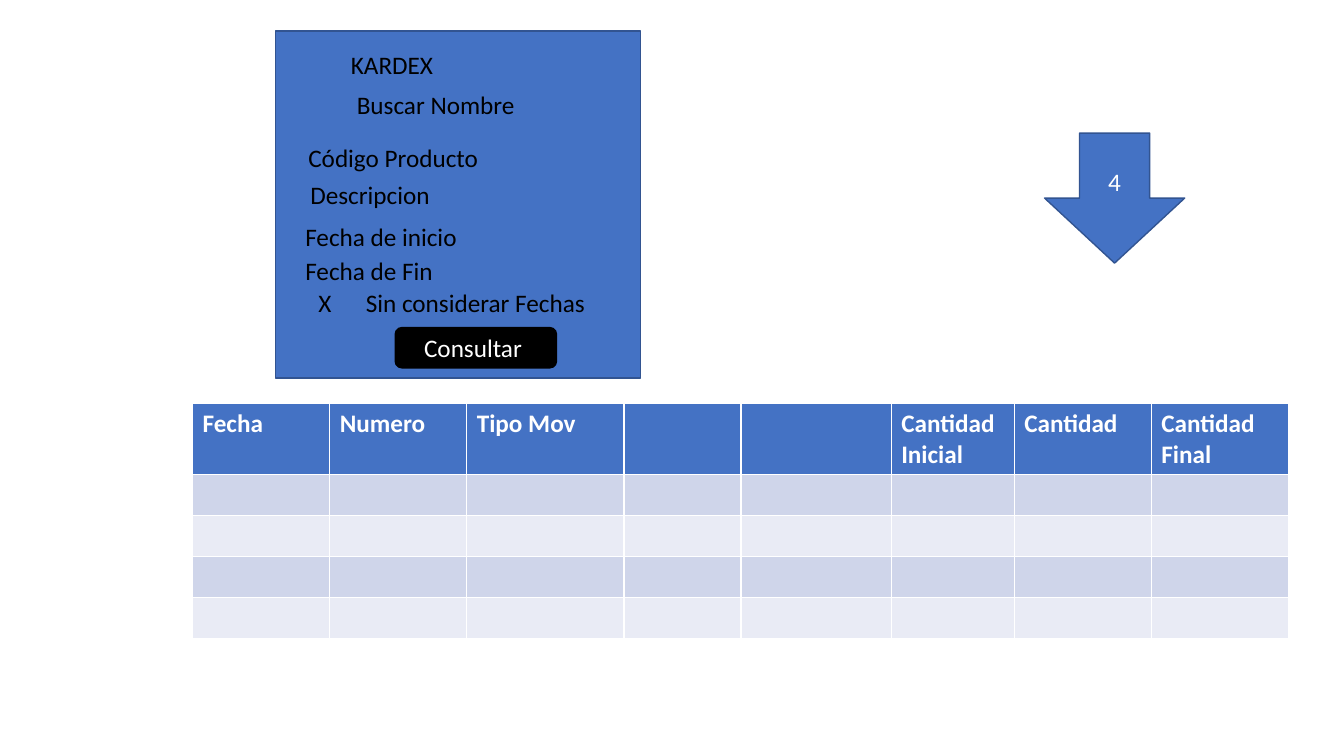
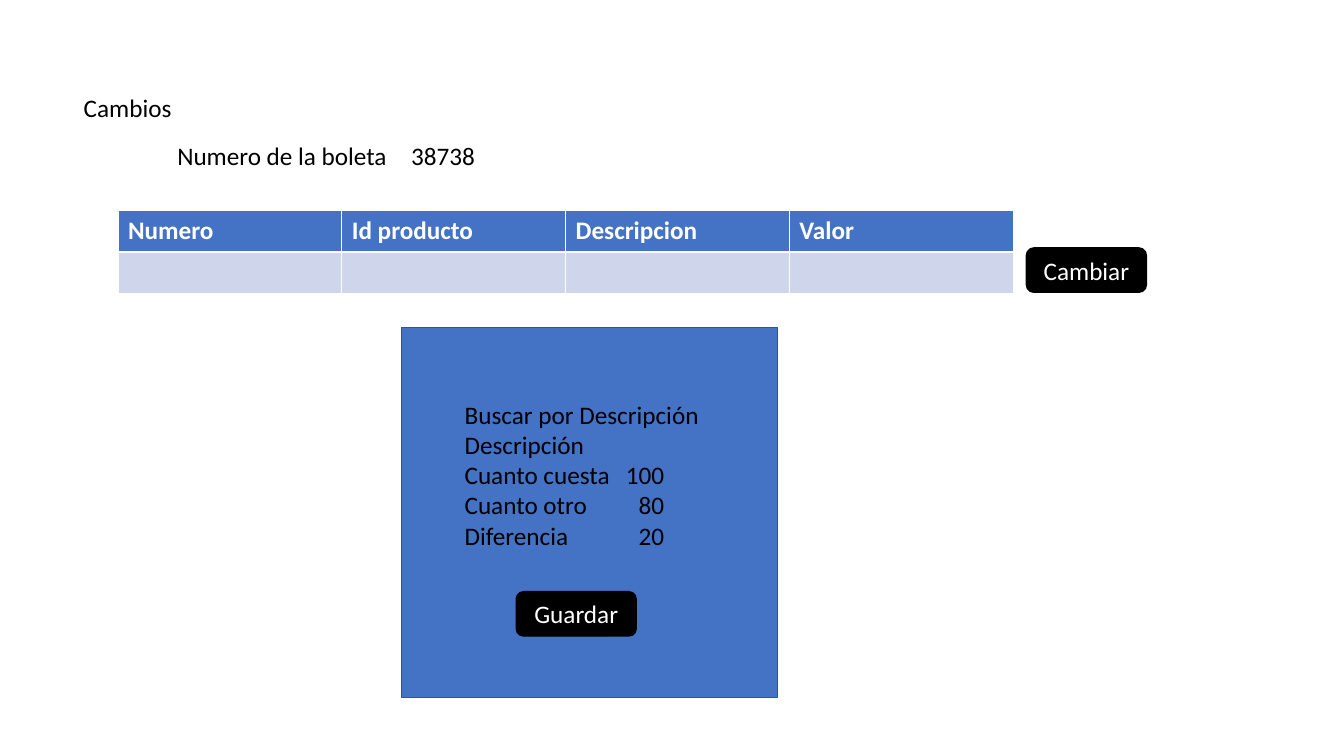
from dataclasses import dataclass

from lxml.etree import SubElement
from pptx import Presentation
from pptx.dml.color import RGBColor
from pptx.enum.shapes import MSO_SHAPE
from pptx.enum.text import MSO_ANCHOR, MSO_AUTO_SIZE, PP_ALIGN
from pptx.oxml.ns import qn
from pptx.util import Inches, Pt


@dataclass(frozen=True)
class Theme:
    font: str = "Calibri"
    size: Pt = Pt(18)
    line_width: Pt = Pt(1)
    blue: RGBColor = RGBColor(0x44, 0x72, 0xC4)
    edge: RGBColor = RGBColor(0x32, 0x54, 0x91)
    black: RGBColor = RGBColor(0, 0, 0)
    white: RGBColor = RGBColor(0xFF, 0xFF, 0xFF)
    bands: tuple = (RGBColor(0xCF, 0xD5, 0xEA), RGBColor(0xE9, 0xEB, 0xF5))


THEME = Theme()
FRAME = {
    "word_wrap": True, "auto_size": MSO_AUTO_SIZE.NONE,
    "margin_left": Inches(0.1), "margin_right": Inches(0.1),
    "margin_top": Inches(0.05), "margin_bottom": Inches(0.05),
}
PANEL = (MSO_SHAPE.RECTANGLE, THEME.blue, THEME.edge)
ARROW = (MSO_SHAPE.DOWN_ARROW, THEME.blue, THEME.edge)
BUTTON = (MSO_SHAPE.ROUNDED_RECTANGLE, THEME.black, THEME.black)


def write(tf, text, color, align=PP_ALIGN.LEFT, bold=False, tabs=()):
    """Write one paragraph per line of text; tabs holds (inches, alignment) stops."""
    for i, line in enumerate(text.split("\n")):
        p = tf.paragraphs[0] if i == 0 else tf.add_paragraph()
        p.alignment = align
        if tabs:
            tab_list = SubElement(p._p.get_or_add_pPr(), qn("a:tabLst"))
            for pos, algn in tabs:
                SubElement(tab_list, qn("a:tab"), pos=str(Inches(pos)), algn=algn)
        r = p.add_run()
        r.text = line
        for name, value in {"name": THEME.font, "size": THEME.size, "bold": bold}.items():
            setattr(r.font, name, value)
        r.font.color.rgb = color


def place_text(sp, box, text, color, anchor=MSO_ANCHOR.TOP, **style):
    """Move a shape to box, in inches, and fill its text frame."""
    for name, value in zip(("left", "top", "width", "height"), box):
        setattr(sp, name, Inches(value))
    tf = sp.text_frame
    for name, value in FRAME.items():
        setattr(tf, name, value)
    tf.vertical_anchor = anchor
    write(tf, text, color, **style)


# Shapes: style, box, text. Labels: box, text, tab stops.
SLIDES = [
    {
        "title": ("KARDEX", (3.38, 0.44, 2.32, 0.4)),
        "shapes": [
            (PANEL, (2.73, 0.31, 3.62, 3.44), ""),
            (BUTTON, (3.92, 3.25, 1.6, 0.4), "Consultar "),
            (ARROW, (10.36, 1.32, 1.39, 1.29), "4"),
        ],
        "labels": [
            ((3.44, 0.84, 2.32, 0.4), "Buscar Nombre", ()),
            ((2.96, 1.36, 2.23, 0.4), "Código Producto", ()),
            ((2.98, 1.73, 2.23, 0.4), "Descripcion", ()),
            ((2.93, 2.15, 2.23, 0.4), "Fecha de inicio", ()),
            ((2.93, 2.48, 2.23, 0.4), "Fecha de Fin", ()),
            ((2.96, 2.8, 3.13, 0.4), "\tX\tSin considerar Fechas",
             ((0.1, "l"), (0.57, "l"))),
        ],
        "table": {
            "at": (1.91, 4),
            "cols": (1.36, 1.36, 1.56, 1.16, 1.49, 1.22, 1.36, 1.36),
            "rows": (0.69, 0.4, 0.4, 0.4, 0.4),
            "head": ("Fecha", "Numero", "Tipo Mov", "", "",
                     "Cantidad\nInicial", "Cantidad", "Cantidad\nFinal"),
        },
    },
    {
        "title": ("Cambios", (0.73, 0.87, 6.67, 0.4)),
        "shapes": [
            (PANEL, (3.98, 3.25, 3.73, 3.67), ""),
            (BUTTON, (10.18, 2.46, 1.19, 0.44), "Cambiar"),
            (BUTTON, (5.12, 5.87, 1.19, 0.44), "Guardar"),
        ],
        "labels": [
            ((1.66, 1.34, 2.32, 0.4), "Numero de la boleta", ()),
            ((3.98, 1.34, 2.32, 0.4), "38738", ()),
            ((4.51, 3.91, 2.67, 1.62),
             "Buscar por Descripción\nDescripción\n"
             "Cuanto cuesta\t100\nCuanto otro\t80\nDiferencia\t20",
             ((1.98, "r"),)),
        ],
        "table": {
            "at": (1.17, 2.09),
            "cols": (2.22,) * 4,
            "rows": (0.41,) * 2,
            "head": ("Numero", "Id producto", "Descripcion", "Valor"),
        },
    },
]

prs = Presentation()
prs.slide_width, prs.slide_height = Inches(13.33), Inches(7.5)
title_only = prs.slide_layouts[5]

for content in SLIDES:
    s = prs.slides.add_slide(title_only)

    for (kind, fill, edge), box, text in content["shapes"]:
        sp = s.shapes.add_shape(kind, 0, 0, 0, 0)
        sp.shadow.inherit = False
        sp.fill.solid()
        sp.fill.fore_color.rgb = fill
        sp.line.color.rgb = edge
        sp.line.width = THEME.line_width
        place_text(sp, box, text, THEME.white, MSO_ANCHOR.MIDDLE, align=PP_ALIGN.CENTER)

    # The title lies in front of the panel.
    title = s.shapes.title
    title.element.getparent().append(title.element)
    text, box = content["title"]
    place_text(title, box, text, THEME.black)

    for box, text, tabs in content["labels"]:
        place_text(s.shapes.add_textbox(0, 0, 0, 0), box, text, THEME.black, tabs=tabs)

    grid = content["table"]
    cols, rows = grid["cols"], grid["rows"]
    left, top = grid["at"]
    table = s.shapes.add_table(len(rows), len(cols), Inches(left), Inches(top),
                               Inches(sum(cols)), Inches(sum(rows))).table
    for col, width in zip(table.columns, cols):
        col.width = Inches(width)
    for i, (row, height) in enumerate(zip(table.rows, rows)):
        row.height = Inches(height)
        for j, cell in enumerate(row.cells):
            cell.fill.solid()
            cell.fill.fore_color.rgb = THEME.bands[(i - 1) % 2] if i else THEME.blue
            if i == 0 and grid["head"][j]:
                write(cell.text_frame, grid["head"][j], THEME.white, bold=True)

prs.save("out.pptx")
